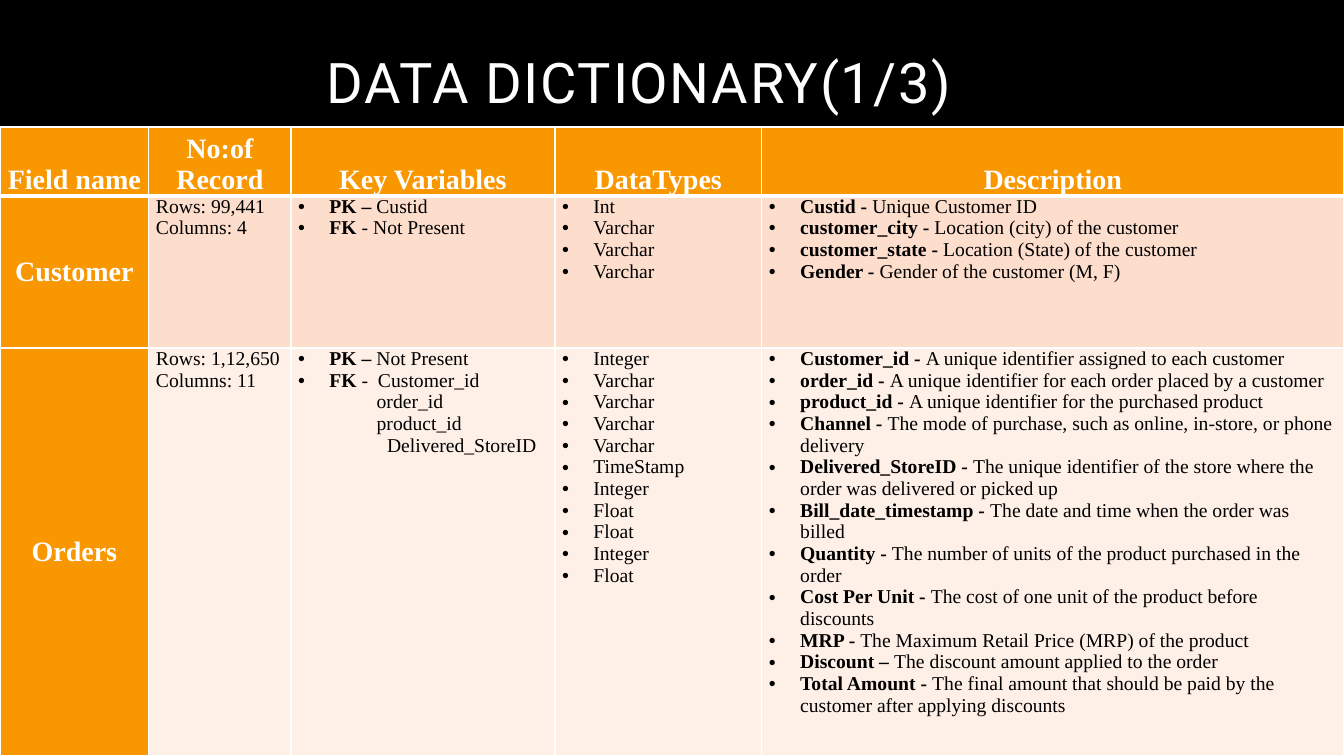
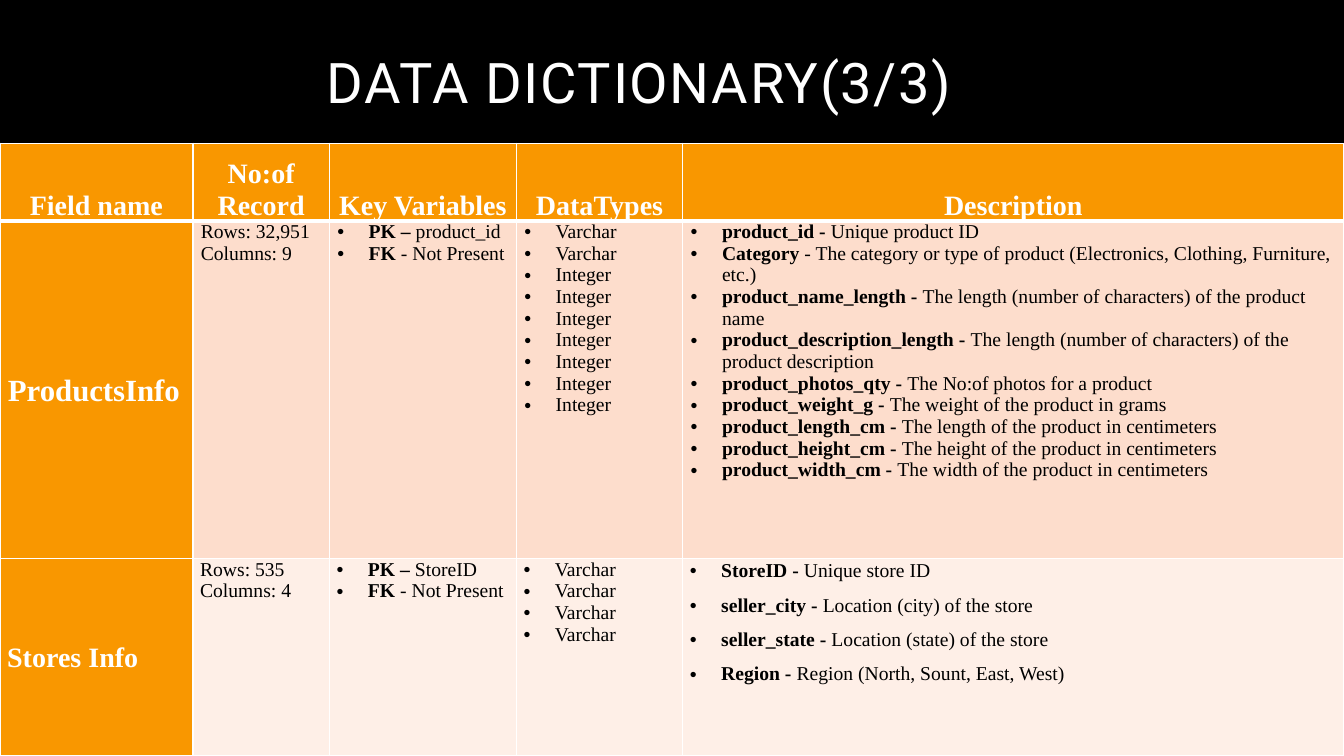
from dataclasses import dataclass
from typing import NamedTuple

from lxml import etree
from pptx import Presentation
from pptx import util as u
from pptx.dml import color, fill
from pptx.enum import shapes, text
from pptx.oxml import ns

WHITE, BLACK, ORANGE = "FFFFFF", "000000", "F99700"
ROW_TINTS = ("FDDDCC", "FEEFE7")
TITLE_FONT, TABLE_FONT = "Roboto", "Times New Roman"
HEADINGS = ("Field name", "No:of Record", "Key Variables", "DataTypes", "Description")
BULLET_INDENT = u.Cm(0.79)
THIN, THICK = u.Pt(1), u.Pt(3)


class Line(NamedTuple):
    """A cell line: a bold label, a detail and, without bullet, a left margin in cm."""
    label: str
    detail: str
    margin: float | None = None


@dataclass
class Entity:
    """One table row describing a data entity."""
    name: str
    rows: str
    columns: int
    keys: list[Line]
    types: str
    fields: list[Line]
    name_size: int = 20
    name_centred: bool = True
    inset: float = 0.18
    spaced_fields: bool = False


@dataclass
class Dictionary:
    """One slide of the data dictionary, with lengths in cm."""
    title: str
    top: float
    widths: tuple[float, ...]
    heights: tuple[float, ...]
    entities: list[Entity]


NO_FOREIGN_KEY = Line("FK", " - Not Present")

DICTIONARIES = [
    Dictionary(
        "DATA DICTIONARY(1/3)", 3.2, (3.75, 3.58, 6.65, 5.21, 14.67), (1.73, 3.84, 10.28),
        [
            Entity(
                "Customer", "99,441", 4,
                [Line("PK – ", "Custid"), NO_FOREIGN_KEY],
                "Int Varchar Varchar Varchar",
                [
                    Line("Custid - ", "Unique Customer ID"),
                    Line("customer_city - ", "Location (city) of the customer"),
                    Line("customer_state - ", "Location (State) of the customer"),
                    Line("Gender - ", "Gender of the customer (M, F)"),
                ],
            ),
            Entity(
                "Orders", "1,12,650", 11,
                [
                    Line("PK – ", "Not Present"),
                    Line("FK", " -  Customer_id"),
                    Line("", "order_id", 1.98),
                    Line("", "product_id", 1.98),
                    Line("", "Delivered_StoreID", 2.24),
                ],
                "Integer Varchar Varchar Varchar Varchar TimeStamp "
                "Integer Float Float Integer Float",
                [
                    Line("Customer_id - ", "A unique identifier assigned to each customer"),
                    Line("order_id - ", "A unique identifier for each order placed by a customer"),
                    Line("product_id - ", "A unique identifier for the purchased product"),
                    Line("Channel - ", "The mode of purchase, such as online, in-store, or phone delivery"),
                    Line("Delivered_StoreID - ",
                         "The unique identifier of the store where the order was delivered or picked up"),
                    Line("Bill_date_timestamp - ", "The date and time when the order was billed"),
                    Line("Quantity - ", "The number of units of the product purchased in the order"),
                    Line("Cost Per Unit - ", "The cost of one unit of the product before discounts"),
                    Line("MRP - ", "The Maximum Retail Price (MRP) of the product"),
                    Line("Discount – ", "The discount amount applied to the order"),
                    Line("Total Amount - ",
                         "The final amount that should be paid by the customer after applying discounts"),
                ],
            ),
        ],
    ),
    Dictionary(
        "DATA DICTIONARY(3/3)", 3.61, (4.86, 3.44, 4.71, 4.19, 16.66), (1.96, 8.51, 4.97),
        [
            Entity(
                "ProductsInfo", "32,951", 9,
                [Line("PK – ", "product_id"), NO_FOREIGN_KEY],
                "Varchar Varchar Integer Integer Integer Integer Integer Integer Integer",
                [
                    Line("product_id - ", "Unique product ID"),
                    Line("Category ",
                         "- The category or type of product (Electronics, Clothing, Furniture, etc.)"),
                    Line("product_name_length - ", "The length (number of characters) of the product name"),
                    Line("product_description_length - ",
                         "The length (number of characters) of the product description"),
                    Line("product_photos_qty - ", "The No:of photos for a product"),
                    Line("product_weight_g - ", "The weight of the product in grams"),
                    Line("product_length_cm - ", "The length of the product in centimeters"),
                    Line("product_height_cm - ", "The height of the product in centimeters"),
                    Line("product_width_cm - ", "The width of the product in centimeters"),
                ],
                name_size=22, name_centred=False, inset=0.2,
            ),
            Entity(
                "Stores Info", "535", 4,
                [Line("PK – ", "StoreID"), NO_FOREIGN_KEY],
                "Varchar Varchar Varchar Varchar",
                [
                    Line("StoreID - ", "Unique store ID"),
                    Line("seller_city - ", "Location (city) of the store"),
                    Line("seller_state - ", "Location (state) of the store"),
                    Line("Region - ", "Region (North, Sount, East, West)"),
                ],
                name_centred=False, spaced_fields=True,
            ),
        ],
    ),
]


def paint(target: fill.FillFormat, hex_colour: str) -> None:
    """Give a fill one solid colour."""
    target.solid()
    target.fore_color.rgb = color.RGBColor.from_string(hex_colour)


def style_run(run, font: str, size: float, hex_colour: str, bold: bool = False) -> None:
    """Set the font, size, colour and weight of a run."""
    run.font.name, run.font.size, run.font.bold = font, u.Pt(size), bold
    paint(run.font.fill, hex_colour)


def space_out(paragraph) -> None:
    """Loosen the line spacing and add a gap after a paragraph."""
    paragraph.line_spacing, paragraph.space_after = 1.07, u.Pt(8)


def add_bullet(paragraph) -> None:
    """Hang a round bullet in front of a paragraph."""
    properties = paragraph._p.get_or_add_pPr()
    properties.set("marL", str(BULLET_INDENT))
    properties.set("indent", str(-BULLET_INDENT))
    etree.SubElement(properties, ns.qn("a:buFont"), typeface="Arial")
    etree.SubElement(properties, ns.qn("a:buChar"), char="•")


def format_cell(cell, hex_colour: str, anchor: text.MSO_ANCHOR, inset: float,
                top: int = THIN, bottom: int = THIN) -> None:
    """Set a cell's insets, anchor, white borders and fill."""
    cell.margin_left = cell.margin_right = u.Cm(inset)
    cell.margin_top = cell.margin_bottom = 0
    cell.vertical_anchor = anchor
    properties = cell._tc.get_or_add_tcPr()
    for side, width in zip("LRTB", (THIN, THIN, top, bottom)):
        border = etree.SubElement(properties, ns.qn(f"a:ln{side}"), w=str(width))
        solid = etree.SubElement(border, ns.qn("a:solidFill"))
        etree.SubElement(solid, ns.qn("a:srgbClr"), val=WHITE)
    paint(cell.fill, hex_colour)


def write_heading(cell, wording: str, size: float = 20, centred: bool = True) -> None:
    """Write a bold white heading in a cell."""
    cell.text_frame.text = wording
    paragraph = cell.text_frame.paragraphs[0]
    if centred:
        paragraph.alignment = text.PP_ALIGN.CENTER
    else:
        space_out(paragraph)
    style_run(paragraph.runs[0], TABLE_FONT, size, WHITE, True)


def write_lines(cell, lines: list[Line], spaced: bool = False) -> None:
    """Write lines in a cell, one paragraph each."""
    frame = cell.text_frame
    for index, line in enumerate(lines):
        paragraph = frame.add_paragraph() if index else frame.paragraphs[0]
        if spaced:
            space_out(paragraph)
        if line.margin is None:
            add_bullet(paragraph)
        else:
            paragraph._p.get_or_add_pPr().set("marL", str(u.Cm(line.margin)))
        for wording, bold in ((line.label, True), (line.detail, False)):
            if wording:
                run = paragraph.add_run()
                run.text = wording
                style_run(run, TABLE_FONT, 14, BLACK, bold)


def fill_entity_row(cells, entity: Entity, tint: str, top: int) -> None:
    """Write one entity in a table row."""
    middle, upper = text.MSO_ANCHOR.MIDDLE, text.MSO_ANCHOR.TOP
    for index, cell in enumerate(cells):
        format_cell(cell, tint if index else ORANGE, upper if index else middle, entity.inset, top)
    name, records, keys, types, fields = cells
    write_heading(name, entity.name, entity.name_size, entity.name_centred)
    write_lines(records, [Line("", f"Rows: {entity.rows}", 0),
                          Line("", f"Columns: {entity.columns}", 0)])
    write_lines(keys, entity.keys)
    write_lines(types, [Line("", data_type) for data_type in entity.types.split()])
    write_lines(fields, entity.fields, entity.spaced_fields)


def add_dictionary_table(slide, dictionary: Dictionary) -> None:
    """Draw the table of entities."""
    table = slide.shapes.add_table(
        len(dictionary.heights), len(HEADINGS), 0, u.Cm(dictionary.top),
        u.Cm(sum(dictionary.widths)), u.Cm(sum(dictionary.heights))).table
    table.horz_banding = False
    for column, width in zip(table.columns, dictionary.widths):
        column.width = u.Cm(width)
    for row, height in zip(table.rows, dictionary.heights):
        row.height = u.Cm(height)
    for cell, heading in zip(table.rows[0].cells, HEADINGS):
        format_cell(cell, ORANGE, text.MSO_ANCHOR.BOTTOM, 0.18, bottom=THICK)
        write_heading(cell, heading)
    for index, (entity, tint) in enumerate(zip(dictionary.entities, ROW_TINTS)):
        fill_entity_row(list(table.rows[index + 1].cells), entity, tint, THIN if index else THICK)


def set_title(slide, wording: str) -> None:
    """Place and format the slide title."""
    title = slide.shapes.title
    title.left, title.top, title.width, title.height = map(u.Cm, (1.85, -0.2, 28.52, 4.72))
    title.text_frame.text = wording
    title.text_frame.vertical_anchor = text.MSO_ANCHOR.MIDDLE
    paragraph = title.text_frame.paragraphs[0]
    paragraph.alignment, paragraph.line_spacing = text.PP_ALIGN.CENTER, 0.9
    run = paragraph.runs[0]
    style_run(run, TITLE_FONT, 40, WHITE)
    run._r.get_or_add_rPr().set("spc", "120")


def add_layout_band(slide, layout, width: int) -> None:
    """Put the black title band at the back of the layout."""
    band = slide.shapes.add_shape(shapes.MSO_SHAPE.RECTANGLE, 0, 0, width, u.Cm(6.3))
    band.shadow.inherit = False
    paint(band.fill, BLACK)
    band.line.fill.background()
    layout.shapes.element.insert(2, band.element)


def main() -> None:
    """Build and save the presentation."""
    presentation = Presentation()
    presentation.slide_width, presentation.slide_height = u.Cm(33.86), u.Cm(19.05)
    layout = presentation.slide_layouts[5]
    for index, dictionary in enumerate(DICTIONARIES):
        slide = presentation.slides.add_slide(layout)
        if index == 0:
            add_layout_band(slide, layout, presentation.slide_width)
        set_title(slide, dictionary.title)
        add_dictionary_table(slide, dictionary)
    presentation.save("out.pptx")


if __name__ == "__main__":
    main()
